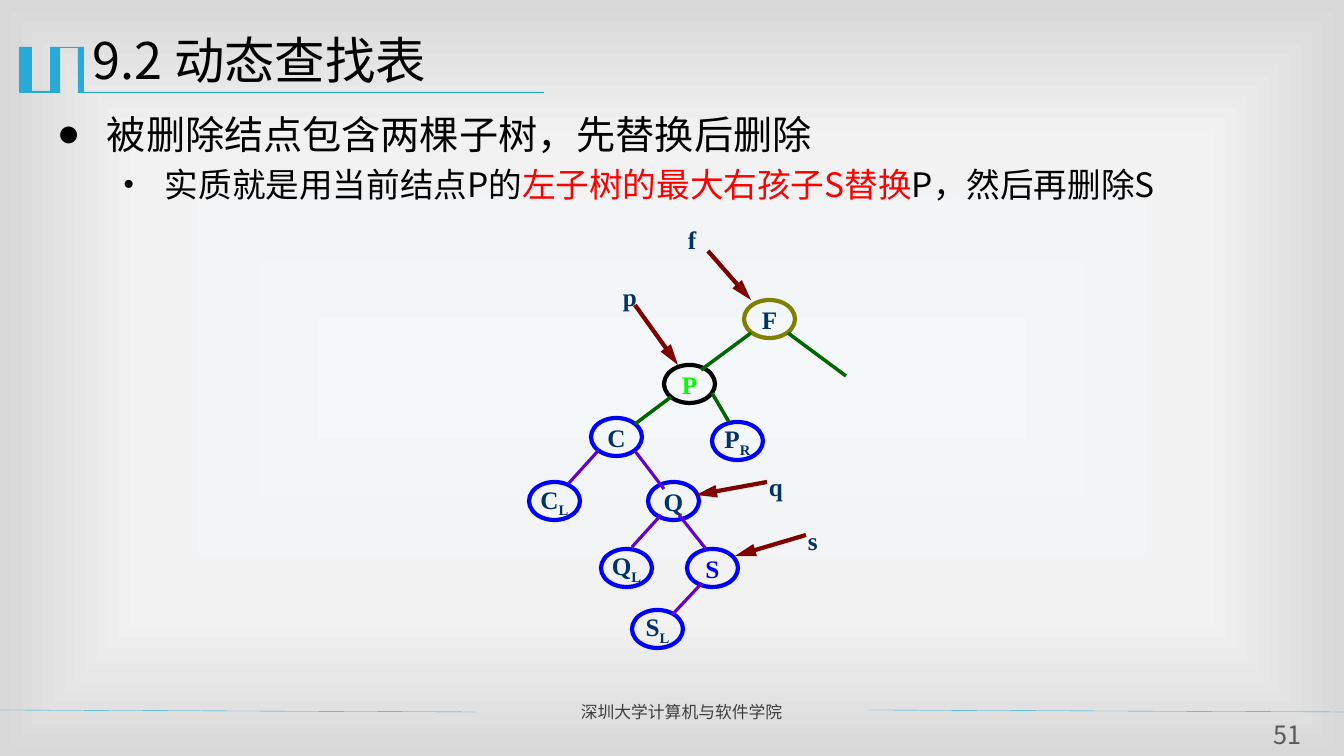
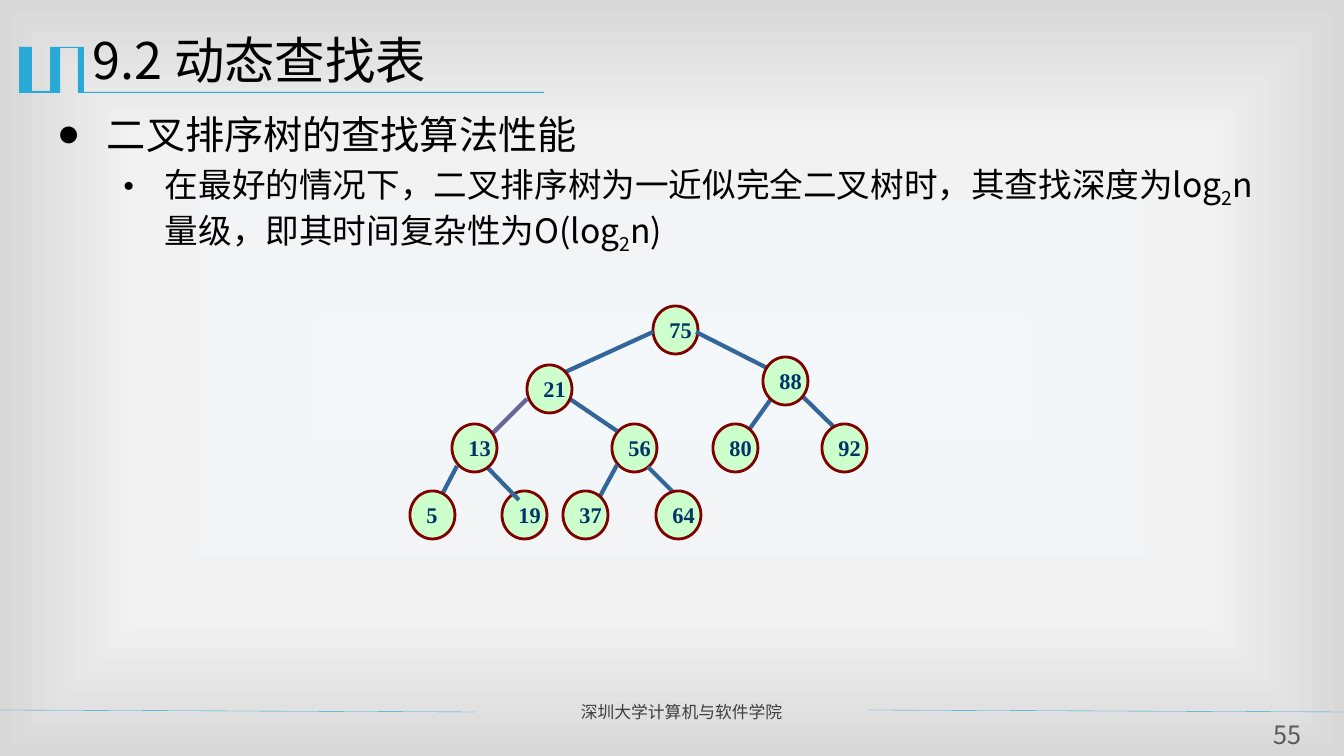
from lxml import etree
from pptx import Presentation
from pptx.dml.color import RGBColor
from pptx.enum.shapes import MSO_CONNECTOR as Connector, MSO_SHAPE as Preset
from pptx.enum.text import MSO_ANCHOR as Anchor, PP_ALIGN as Align
from pptx.oxml import parse_xml
from pptx.oxml.ns import nsdecls, qn
from pptx.util import Emu, Pt

EMU_PER_PX = 914400 / 100.8

BLACK = RGBColor(0x00, 0x00, 0x00)
RED = RGBColor(0xFF, 0x00, 0x00)
ACCENT = RGBColor(0x28, 0xA9, 0xD6)
FOOTER_GREY = RGBColor(0x3F, 0x3F, 0x3F)
NUMBER_GREY = RGBColor(0x59, 0x59, 0x59)
NAVY = RGBColor(0x00, 0x33, 0x66)
BLUE = RGBColor(0x00, 0x00, 0xFF)
LIME = RGBColor(0x00, 0xFF, 0x00)
OLIVE = RGBColor(0x80, 0x80, 0x00)
MAROON = RGBColor(0x80, 0x00, 0x00)
GREEN = RGBColor(0x00, 0x66, 0x00)
VIOLET = RGBColor(0x66, 0x00, 0xCC)
MINT = RGBColor(0xCC, 0xFF, 0xCC)
STEEL = RGBColor(0x33, 0x66, 0x99)
DUSK = RGBColor(0x66, 0x66, 0x99)
BACKDROP_STOPS = [(0, "F4F8FB"), (63, "F2F2F2"), (100, "D8D8D8")]

SANS = "Noto Sans CJK SC"
SERIF = "Times New Roman"
TITLE = "9.2 动态查找表"
FOOTER = "深圳大学计算机与软件学院"

# Bullet level: character, left margin and hanging indent in px, size, space before
BULLETS = [("●", 50, 50, 28, 0), ("•", 108, 42, 24, 4.8)]

EMBLEM = [(83, 47), (84, 47), (84, 92), (544, 92), (544, 93), (78, 93), (78, 48),
          (60, 48), (60, 93), (19, 93), (19, 47), (32, 47), (32, 91), (50, 91), (50, 47)]

# Deletion tree: label, left, top, outline, text colour
DELETION_NODES = [
    ("P", 144, 145, BLACK, LIME), ("C", 71, 198, BLUE, NAVY), ("F", 224, 80, OLIVE, NAVY),
    ("P_R", 192, 202, BLUE, NAVY), ("C_L", 9, 262, BLUE, NAVY), ("Q", 128, 262, BLUE, NAVY),
    ("S_L", 112, 390, BLUE, NAVY), ("Q_L", 81, 329, BLUE, NAVY), ("S", 167, 329, BLUE, BLUE),
]
UPPER_EDGES = [(151, 177, 115, 204), (231, 113, 181, 150),
               (268, 113, 326, 156), (192, 173, 209, 202)]
LOWER_EDGES = [(78, 231, 49, 263), (115, 231, 144, 269), (141, 295, 112, 327),
               (159, 295, 186, 329), (182, 363, 152, 395)]
# Pointer: name, left and top of the name, arrow from and to
POINTERS = [
    ("p", 93, 56, (115, 85, 158, 145)), ("f", 158, -1, (188, 31, 231, 80)),
    ("q", 239, 246, (247, 262, 176, 275)), ("s", 278, 300, (286, 315, 215, 336)),
]

# Search tree: keys behind the edges, edges, keys in front of them
BACK_KEYS = [("75", 243, 0), ("56", 202, 118), ("19", 92, 185)]
KEY_EDGES = [
    (243, 26, 151, 68, STEEL), (117, 93, 76, 134, DUSK), (286, 26, 369, 68, STEEL),
    (160, 93, 207, 125, STEEL), (207, 159, 188, 194, STEEL), (386, 84, 429, 126, STEEL),
    (47, 160, 25, 202, STEEL), (76, 160, 109, 194, STEEL), (238, 161, 263, 186, STEEL),
    (361, 93, 336, 128, STEEL),
]
FRONT_KEYS = [
    ("64", 246, 185), ("5", 0, 185), ("37", 153, 185), ("21", 117, 59),
    ("80", 303, 118), ("13", 42, 118), ("88", 353, 51), ("92", 412, 118),
]


def px(*lengths):
    return [Emu(round(length * EMU_PER_PX)) for length in lengths]


def add_run(para, text, size, colour, face=SANS, bold=False, lowered=False):
    span = para.add_run()
    span.text = text
    span.font.size = Pt(size)
    span.font.bold = bold
    span.font.name = face
    span.font.color.rgb = colour
    props = span._r.get_or_add_rPr()
    etree.SubElement(props, qn("a:ea")).set("typeface", face)
    if lowered:
        props.set("baseline", "-25000")


def add_marked_text(para, text, size, colour, face=SANS, bold=False):
    """Add runs; the one character after each underscore is a subscript."""
    first, *rest = text.split("_")
    add_run(para, first, size, colour, face, bold)
    for part in rest:
        add_run(para, part[0], size, colour, face, bold, lowered=True)
        if part[1:]:
            add_run(para, part[1:], size, colour, face, bold)


def add_text(page, box, text, size, colour, face=SANS, bold=False, align=Align.LEFT,
             wrap=True, inset=True):
    frame = page.shapes.add_textbox(*px(*box)).text_frame
    frame.word_wrap = wrap
    if not inset:
        frame.margin_left = frame.margin_right = frame.margin_top = frame.margin_bottom = 0
    para = frame.paragraphs[0]
    para.alignment = align
    add_marked_text(para, text, size, colour, face, bold)


def add_line(page, ends, colour, width, arrow=False):
    line = page.shapes.add_connector(Connector.STRAIGHT, *px(*ends))
    line.line.color.rgb = colour
    line.line.width = Pt(width)
    props = line._element.spPr
    if arrow:
        tip = etree.SubElement(props.find(qn("a:ln")), qn("a:tailEnd"))
        for key, value in (("type", "triangle"), ("w", "med"), ("len", "lg")):
            tip.set(key, value)
    etree.SubElement(props, qn("a:effectLst"))


def add_node(page, box, label, size, text_colour, outline, width, fill=None,
             align=Align.CENTER):
    node = page.shapes.add_shape(Preset.OVAL, *px(*box))
    node.shadow.inherit = False
    if fill is None:
        node.fill.background()
    else:
        node.fill.solid()
        node.fill.fore_color.rgb = fill
    node.line.color.rgb = outline
    node.line.width = Pt(width)
    frame = node.text_frame
    frame.word_wrap = False
    frame.vertical_anchor = Anchor.MIDDLE
    para = frame.paragraphs[0]
    para.alignment = align
    add_marked_text(para, label, size, text_colour, SERIF, True)


def set_backdrop(master):
    """Give the master a gradient that darkens from the centre to the edges."""
    master.background.fill.solid()
    stops = "".join(f'<a:gs pos="{at * 1000}"><a:srgbClr val="{colour}"/></a:gs>'
                    for at, colour in BACKDROP_STOPS)
    gradient = parse_xml(
        f'<a:gradFill {nsdecls("a")} rotWithShape="1"><a:gsLst>{stops}</a:gsLst>'
        '<a:path path="rect"><a:fillToRect l="50000" t="50000" r="50000" b="50000"/>'
        '</a:path></a:gradFill>')
    props = next(master.element.iter(qn("p:bgPr")))
    props.replace(props[0], gradient)


def add_frame(page, number):
    """Add the emblem, title, footer and page number."""
    builder = page.shapes.build_freeform(*EMBLEM[0], scale=EMU_PER_PX)
    builder.add_line_segments(EMBLEM[1:], close=True)
    emblem = builder.convert_to_shape()
    emblem.shadow.inherit = False
    emblem.fill.solid()
    emblem.fill.fore_color.rgb = ACCENT
    emblem.line.fill.background()
    for left, right in ((0, 476), (868, 1344)):
        add_line(page, (left, 710, right, 712), ACCENT, 0.25)
    add_text(page, (571, 697, 287, 30), FOOTER, 12, FOOTER_GREY, align=Align.JUSTIFY)
    add_text(page, (83, 24, 1210, 88), TITLE, 36, BLACK)
    add_text(page, (1258, 719, 59, 31), str(number), 18, NUMBER_GREY,
             align=Align.CENTER, inset=False)


def add_bullets(page, box, items):
    """Add one paragraph per level; an item is a list of (text, colour)."""
    frame = page.shapes.add_textbox(*px(*box)).text_frame
    frame.word_wrap = True
    for index, (item, level) in enumerate(zip(items, BULLETS)):
        mark, margin, hanging, size, before = level
        para = frame.paragraphs[0] if index == 0 else frame.add_paragraph()
        props = para._p.get_or_add_pPr()
        left, indent = px(margin, -hanging)
        props.set("marL", str(left))
        props.set("indent", str(indent))
        etree.SubElement(props, qn("a:buFont")).set("typeface", SERIF)
        etree.SubElement(props, qn("a:buChar")).set("char", mark)
        if before:
            para.space_before = Pt(before)
        for text, colour in item:
            add_marked_text(para, text, size, colour)


def add_deletion_tree(page, left, top):
    def shift(ends):
        x1, y1, x2, y2 = ends
        return left + x1, top + y1, left + x2, top + y2

    for label, x, y, outline, colour in DELETION_NODES:
        add_node(page, (left + x, top + y, 51, 38), label, 18, colour, outline, 3)
    for edges, colour, width in ((UPPER_EDGES, GREEN, 2.5), (LOWER_EDGES, VIOLET, 2.25)):
        for ends in edges:
            add_line(page, shift(ends), colour, width)
    for name, x, y, ends in POINTERS:
        add_text(page, (left + x, top + y, 34, 40), name, 18, NAVY, SERIF, True, wrap=False)
        add_line(page, shift(ends), MAROON, 3, arrow=True)


def add_search_tree(page, left, top):
    def add_keys(keys):
        for key, x, y in keys:
            add_node(page, (left + x, top + y, 45, 48), key, 16, NAVY, MAROON, 2,
                     MINT, Align.LEFT)

    add_keys(BACK_KEYS)
    for x1, y1, x2, y2, colour in KEY_EDGES:
        add_line(page, (left + x1, top + y1, left + x2, top + y2), colour, 3)
    add_keys(FRONT_KEYS)


def add_page(deck, number, body_height, items):
    page = deck.slides.add_slide(deck.slide_layouts[6])
    add_frame(page, number)
    add_bullets(page, (47, 105, 1223, body_height), items)
    return page


def main():
    deck = Presentation()
    deck.slide_width, deck.slide_height = px(1344, 756)
    set_backdrop(deck.slide_master)

    deletion = add_page(deck, 51, 442, [
        [("被删除结点包含两棵子树，先替换后删除", BLACK)],
        [("实质就是用当前结点P的", BLACK), ("左子树的最大右孩子S替换", RED),
         ("P，然后再删除S", BLACK)],
    ])
    add_deletion_tree(deletion, 520, 220)

    performance = add_page(deck, 55, 184, [
        [("二叉排序树的查找算法性能", BLACK)],
        [("在最好的情况下，二叉排序树为一近似完全二叉树时，其查找深度为"
          "log_2n量级，即其时间复杂性为O(log_2n)", BLACK)],
    ])
    add_search_tree(performance, 410, 306)

    deck.save("out.pptx")


if __name__ == "__main__":
    main()
